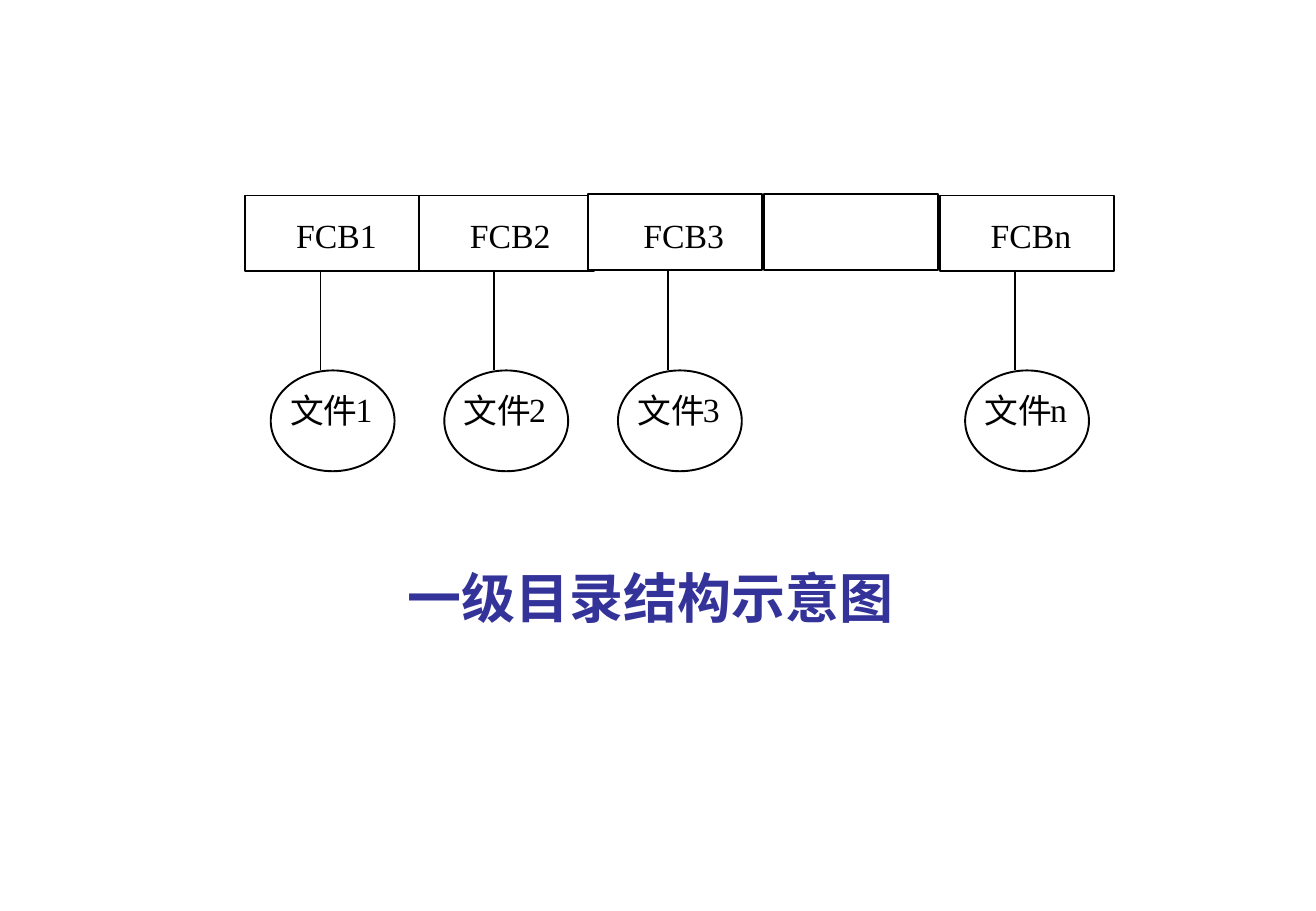
from pptx import Presentation
from pptx.enum import shapes, text
from pptx.dml.color import RGBColor
from pptx.oxml.ns import qn
from pptx.util import Inches, Pt
from lxml import etree

CAPTION = "一级目录结构示意图"
# Directory entries: file suffix (None for the gap), cell left, cell top
ENTRIES = [
    ("1", 2.02, 1.61),
    ("2", 3.45, 1.61),
    ("3", 4.84, 1.6),
    (None, 6.29, 1.6),
    ("n", 7.74, 1.61),
]
COLORS = {"ink": "000000", "paper": "FFFFFF", "caption": "333399"}
LATIN, HAN = "Times New Roman", "Noto Sans CJK SC"
PITCH = 1.43
CELL = (1.44, 0.62)
DISC = (1.02, 0.83)
DISC_TOP = 3.05


def color(name):
    return RGBColor.from_string(COLORS[name])


def write(par, words, face, size, ink, bold=False):
    run = par.add_run()
    run.text = words
    font = run.font
    font.name, font.size, font.bold = face, Pt(size), bold
    font.color.rgb = color(ink)
    if face == HAN:
        # East Asian characters take their typeface from a:ea
        etree.SubElement(run._r.rPr, qn("a:ea")).set("typeface", face)


def outline(line):
    line.color.rgb = color("ink")
    line.width = Pt(1.13)


def draw(slide, kind, left, top, size):
    shape = slide.shapes.add_shape(kind, *map(Inches, (left, top, *size)))
    shape.shadow.inherit = False
    shape.fill.solid()
    shape.fill.fore_color.rgb = color("paper")
    outline(shape.line)


def label(slide, left, top, width, words, face):
    box = slide.shapes.add_textbox(*map(Inches, (left, top, width, 0.33)))
    frame = box.text_frame
    frame.margin_left = frame.margin_right = 0
    frame.margin_top = frame.margin_bottom = 0
    frame.word_wrap = False
    write(frame.paragraphs[0], words, face, 20, "ink")


def link(slide, x, top, bottom):
    line = slide.shapes.add_connector(
        shapes.MSO_CONNECTOR.STRAIGHT,
        *map(Inches, (x, top, x, bottom)))
    outline(line.line)
    etree.SubElement(line._element.spPr, qn("a:effectLst"))


def caption(slide):
    title = slide.shapes.title
    title.left, title.top = Inches(3.26), Inches(4.6)
    title.width, title.height = Inches(4.2), Inches(0.64)
    frame = title.text_frame
    frame.margin_left = frame.margin_right = 0
    frame.word_wrap = True
    frame.auto_size = text.MSO_AUTO_SIZE.NONE
    frame.vertical_anchor = text.MSO_ANCHOR.TOP
    par = frame.paragraphs[0]
    par.alignment = text.PP_ALIGN.CENTER
    write(par, CAPTION, HAN, 32, "caption", True)


def main():
    deck = Presentation()
    deck.slide_width, deck.slide_height = Inches(10.84), Inches(7.5)
    slide = deck.slides.add_slide(deck.slide_layouts[5])
    caption(slide)
    for slot, (suffix, left, top) in enumerate(ENTRIES):
        draw(slide, shapes.MSO_SHAPE.RECTANGLE, left, top, CELL)
        if suffix is None:
            continue
        shift = slot * PITCH
        label(slide, 2.44 + shift, 1.77, 0.67, "FCB" + suffix, LATIN)
        draw(slide, shapes.MSO_SHAPE.OVAL, 2.23 + shift, DISC_TOP, DISC)
        label(slide, 2.39 + shift, 3.21, 0.56, "文件", HAN)
        label(slide, 2.93 + shift, 3.2, 0.14, suffix, LATIN)
        link(slide, 2.64 + shift, 2.23, DISC_TOP)
    deck.save("out.pptx")


if __name__ == "__main__":
    main()
